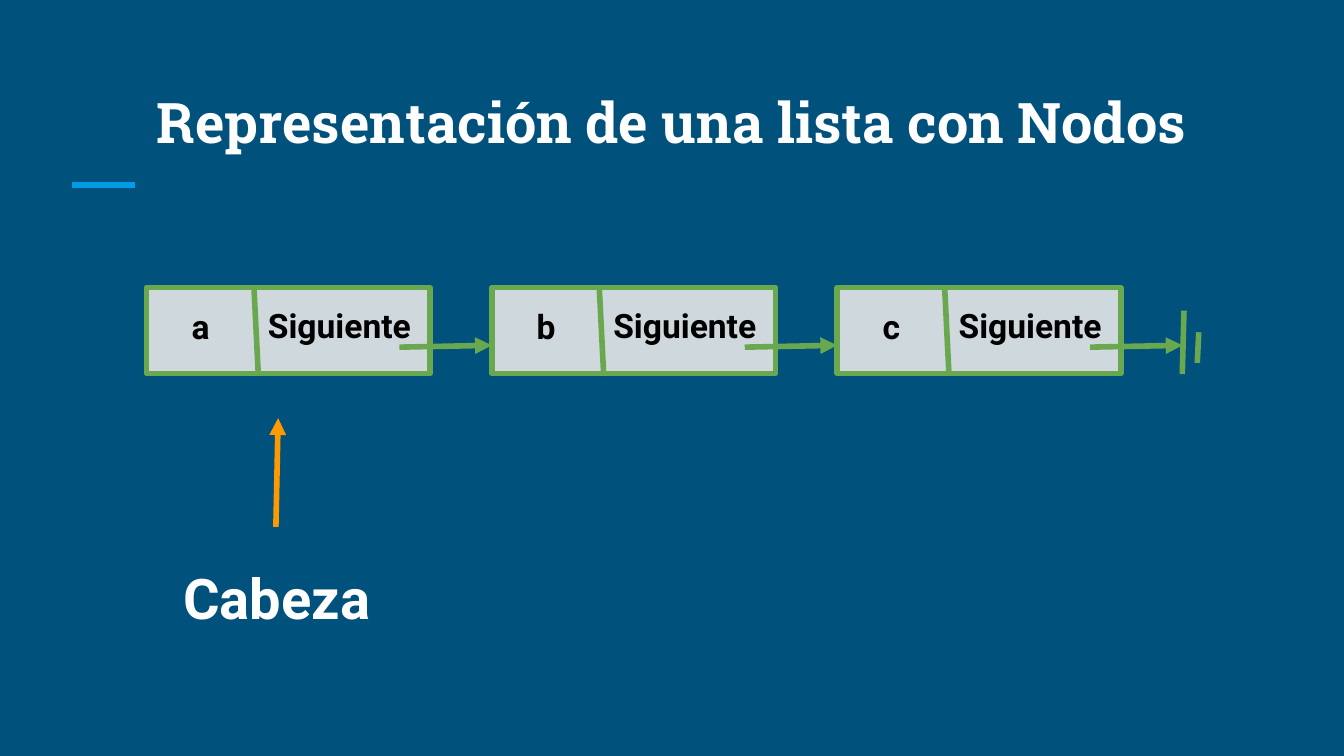
from lxml.etree import SubElement
from pptx import Presentation
from pptx.dml.color import RGBColor
from pptx.enum.shapes import MSO_CONNECTOR, MSO_SHAPE
from pptx.enum.text import MSO_ANCHOR, MSO_AUTO_SIZE, PP_ALIGN
from pptx.oxml.ns import qn
from pptx.util import Pt

COLORS = {
    "background": "00517C",
    "accent": "039BE5",
    "node": "CFD8DC",
    "link": "6AA84F",
    "pointer": "FF9900",
    "light": "FFFFFF",
    "dark": "000000",
}
NODE_LEFT, NODE_TOP = 78.5, 154.1
NODE_WIDTH, NODE_HEIGHT = 152, 46
NODE_PITCH = 185
LINE_WIDTH = 3


def rgb(name):
    return RGBColor.from_string(COLORS[name])


def write_text(box, text, *, size, color, font="Roboto", align=PP_ALIGN.CENTER,
               anchor=MSO_ANCHOR.TOP):
    frame = box.text_frame
    frame.word_wrap = True
    frame.auto_size = MSO_AUTO_SIZE.NONE
    frame.vertical_anchor = anchor
    frame.margin_left = frame.margin_right = Pt(7.2)
    frame.margin_top = frame.margin_bottom = Pt(7.2)
    para = frame.paragraphs[0]
    para.alignment = align
    span = para.add_run()
    span.text = text
    span.font.name = font
    span.font.size = Pt(size)
    span.font.bold = True
    span.font.color.rgb = rgb(color)


def add_label(shapes, text, left, top, width, height, **text_format):
    box = shapes.add_textbox(Pt(left), Pt(top), Pt(width), Pt(height))
    write_text(box, text, **text_format)


def add_line(shapes, start, end, color, arrow=False):
    connector = shapes.add_connector(
        MSO_CONNECTOR.STRAIGHT, *(Pt(value) for value in (*start, *end)))
    connector.line.color.rgb = rgb(color)
    connector.line.width = Pt(LINE_WIDTH)
    properties = connector.element.spPr
    if arrow:
        SubElement(properties.find(qn("a:ln")), qn("a:tailEnd"), type="triangle")
    SubElement(properties, qn("a:effectLst"))


def add_node(page, value, left):
    shapes = page.shapes.add_group_shape().shapes
    box = shapes.add_shape(MSO_SHAPE.RECTANGLE, Pt(left), Pt(NODE_TOP),
                           Pt(NODE_WIDTH), Pt(NODE_HEIGHT))
    box.shadow.inherit = False
    box.fill.solid()
    box.fill.fore_color.rgb = rgb("node")
    box.line.color.rgb = rgb("link")
    box.line.width = Pt(LINE_WIDTH)

    # Value cell, next cell and the divider between them
    add_label(shapes, value, left, 156.8, 58, 40, size=18, color="dark")
    add_label(shapes, "Siguiente", left + 58, 156.3, 94, 40, size=18, color="dark",
              align=PP_ALIGN.LEFT)
    add_line(shapes, (left + 57.6, 154.8), (left + 59.8, 198.7), "link")

    # Link to the next node
    add_line(shapes, (left + 135.5, 186), (left + NODE_PITCH, 185), "link", arrow=True)


def add_title(page, text):
    title = page.shapes.title
    title.left, title.top, title.width, title.height = Pt(30.5), Pt(36), Pt(659), Pt(54)
    write_text(title, text, size=30, color="light", font="Roboto Slab",
               anchor=MSO_ANCHOR.BOTTOM)


def main():
    deck = Presentation()
    deck.slide_width, deck.slide_height = Pt(720), Pt(405)
    page = deck.slides.add_slide(deck.slide_layouts[5])
    page.background.fill.solid()
    page.background.fill.fore_color.rgb = rgb("background")

    # Heading
    add_line(page.shapes, (38.6, 99.1), (72.3, 99.1), "accent")
    add_title(page, "Representación de una lista con Nodos")

    # Linked nodes
    for index, value in enumerate("abc"):
        add_node(page, value, NODE_LEFT + index * NODE_PITCH)

    # End of the list
    end_mark = page.shapes.add_group_shape().shapes
    add_line(end_mark, (634.3, 166.4), (633.4, 200.4), "link")
    add_line(end_mark, (642.2, 178), (641.4, 194.4), "link")

    # Head pointer
    add_line(page.shapes, (147.8, 282.3), (149, 224), "pointer", arrow=True)
    add_label(page.shapes, "Cabeza", 83.3, 294.5, 130, 41, size=30, color="light")

    deck.save("out.pptx")


if __name__ == "__main__":
    main()
